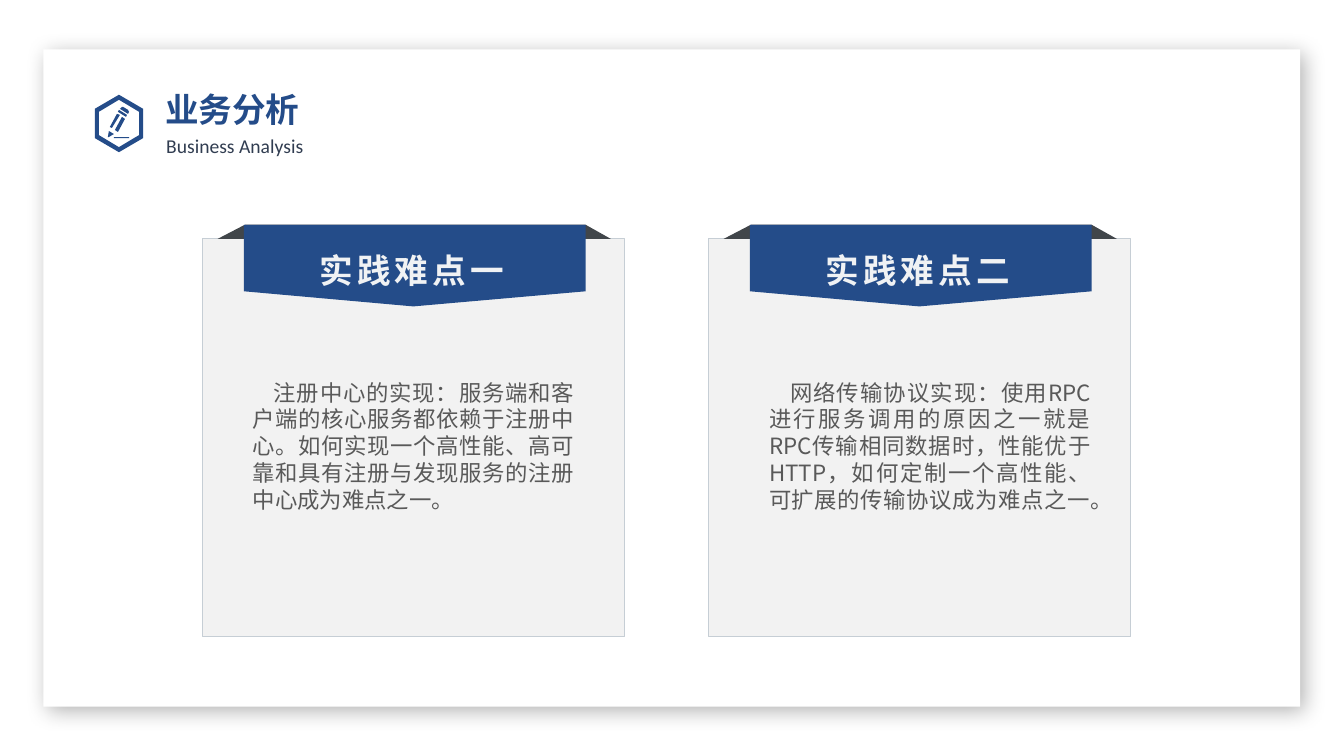
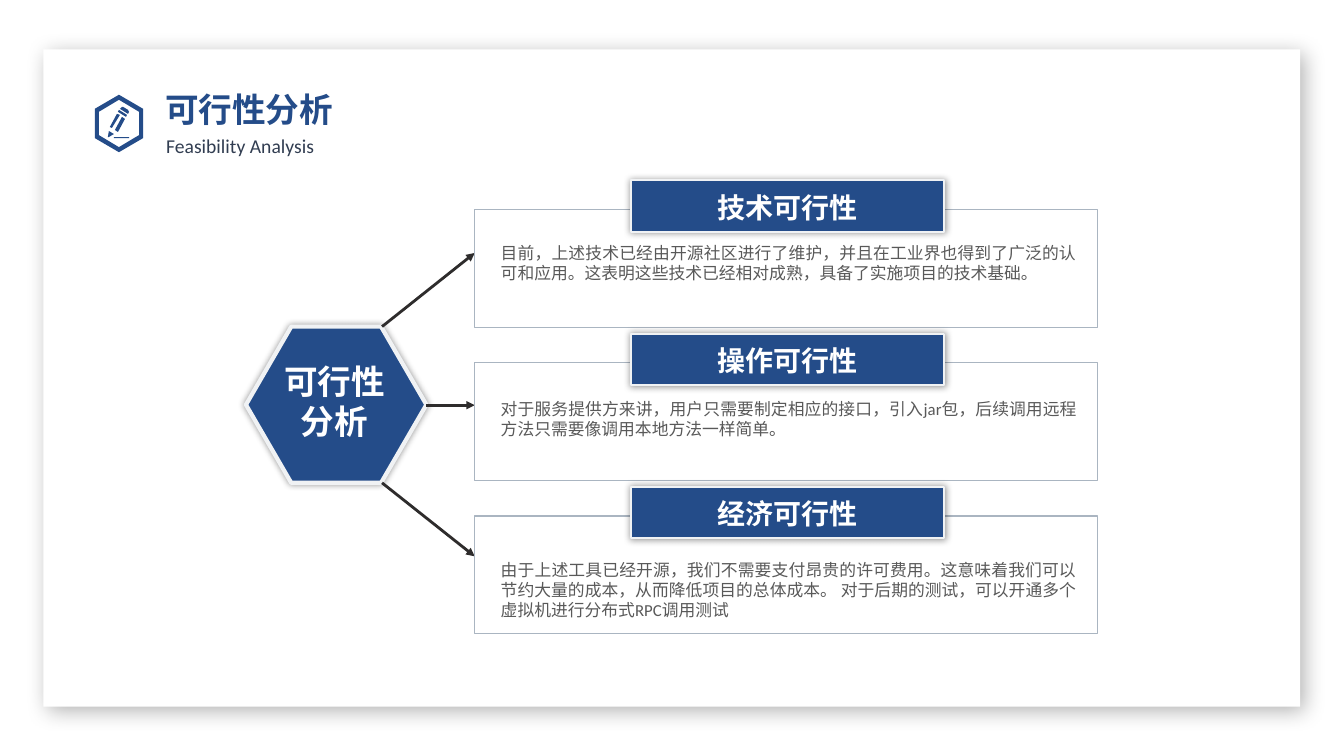
from pptx import Presentation
from pptx.dml.color import RGBColor
from pptx.enum import dml, shapes, text
from pptx.oxml import ns, xmlchemy
from pptx.util import Pt
from lxml import etree

COLORS = {
    "white": "FFFFFF", "navy": "244C89", "pale": "F0F2F4", "card": "F2F2F2",
    "card_line": "C6CED5", "box_line": "AAB5C1", "fold": "41464A",
    "ink": "2E2C2C", "body": "595959", "subtitle": "313D51", "black": "000000",
}
SANS = "Noto Sans CJK SC"
HUNDREDTH = Pt(0.72)
RECT = shapes.MSO_SHAPE.RECTANGLE
LEFT, CENTER, JUSTIFY = text.PP_ALIGN.LEFT, text.PP_ALIGN.CENTER, text.PP_ALIGN.JUSTIFY

STYLES = {
    "title": dict(size=Pt(24), bold=True, name="Cabin", color="navy"),
    "subtitle": dict(size=Pt(14), name="Calibri", color="subtitle"),
    "ribbon": dict(size=Pt(24), bold=True, name=SANS, color="pale"),
    "card": dict(size=Pt(16), name=SANS, color="body"),
    "hexagon": dict(size=Pt(24), bold=True, name=SANS, color="white"),
    "tag": dict(size=Pt(20), bold=True, name=SANS, color="white"),
    "box": dict(size=Pt(12), name="Calibri", color="body"),
}

ICON = [
    [(118, 94), (142, 108), (142, 137), (118, 151), (94, 137), (94, 108)],
    [(118, 99), (138, 111), (138, 134), (118, 146), (98, 134), (98, 111)],
    [(113, 136), (128, 136), (128, 137), (113, 137)],
    [(114, 129), (121, 116), (124, 118), (117, 131)],
    [(109, 126), (116, 113), (119, 114), (111, 127)],
    [(107, 136), (108, 130), (113, 133), (108, 136)],
    [(118, 109), (117, 111), (125, 116), (126, 114)],
    [(120, 107), (121, 106), (122, 106), (127, 109), (128, 111), (127, 113), (119, 108)],
]
FOLD = [(42, 223), (380, 223), (405, 237), (15, 237)]
RIBBON = [(41, 223), (380, 223), (380, 289), (209, 304), (41, 289)]

TITLES = [("业务分析", "Business Analysis"), ("可行性分析", "Feasibility Analysis")]
CARDS = [
    (201, 173.5, "实践难点一",
     "注册中心的实现：服务端和客户端的核心服务都依赖于注册中心。如何实现一个高性能、高可靠和具有注册与发现服务的注册中心成为难点之一。"),
    (703, 542.2, "实践难点二",
     "网络传输协议实现：使用RPC进行服务调用的原因之一就是RPC传输相同数据时，性能优于HTTP，如何定制一个高性能、可扩展的传输协议成为难点之一。"),
]
BOXES = [
    (169.2, "技术可行性",
     "目前，上述技术已经由开源社区进行了维护，并且在工业界也得到了广泛的认可和应用。这表明这些技术已经相对成熟，具备了实施项目的技术基础。"),
    (280.1, "操作可行性",
     "对于服务提供方来讲，用户只需要制定相应的接口，引入jar包，后续调用远程方法只需要像调用本地方法一样简单。"),
    (395.3, "经济可行性",
     "由于上述工具已经开源，我们不需要支付昂贵的许可费用。这意味着我们可以节约大量的成本，从而降低项目的总体成本。 对于后期的测试，可以开通多个虚拟机进行分布式RPC调用测试"),
]
ARROWS = [(272.9, 233.3, 180.7), (304.6, 289.4, 289.4), (272.9, 344.9, 397.4)]


def paint(sp, fill, line=None, width=0, shadow=None):
    sp.fill.solid()
    sp.fill.fore_color.rgb = RGBColor.from_string(COLORS[fill])
    if line:
        sp.line.color.rgb = RGBColor.from_string(COLORS[line])
        sp.line.width = Pt(width)
    else:
        sp.line.fill.background()
    sp.shadow.inherit = False
    if shadow:
        alpha, blur, dist, angle = shadow
        effects = sp._element.spPr.find(ns.qn("a:effectLst"))
        outer = etree.SubElement(
            effects, ns.qn("a:outerShdw"), blurRad=str(Pt(blur)), dist=str(Pt(dist)),
            dir=str(angle * 60000), algn="ctr", rotWithShape="0")
        clr = etree.SubElement(outer, ns.qn("a:srgbClr"), val=COLORS["black"])
        etree.SubElement(clr, ns.qn("a:alpha"), val=str(alpha * 1000))


def write(sp, words, style, align=LEFT, anchor=text.MSO_ANCHOR.TOP, top=4.8):
    tf = sp.text_frame
    frame = dict(word_wrap=True, vertical_anchor=anchor, margin_top=Pt(top),
                 margin_bottom=Pt(3.6), margin_left=Pt(7.2), margin_right=Pt(7.2))
    for key, value in frame.items():
        setattr(tf, key, value)
    p = tf.paragraphs[0]
    p.alignment = align
    r = p.add_run()
    r.text = words
    for key, value in STYLES[style].items():
        if key == "color":
            r.font.color.rgb = RGBColor.from_string(COLORS[value])
        else:
            setattr(r.font, key, value)
    etree.SubElement(r._r.get_or_add_rPr(), ns.qn("a:ea"), typeface=SANS)
    return p


prs = Presentation()
prs.slide_width, prs.slide_height = Pt(960), Pt(540)

for title, subtitle in TITLES:
    s = prs.slides.add_slide(prs.slide_layouts[6])
    panel = s.shapes.add_shape(RECT, Pt(31), Pt(35.3), Pt(897.8), Pt(469.4))
    paint(panel, "white", shadow=(30, 15, 5, 45))
    fb = s.shapes.build_freeform(*ICON[0][0], scale=HUNDREDTH)
    fb.add_line_segments(ICON[0][1:])
    for contour in ICON[1:]:
        fb.move_to(*contour[0])
        fb.add_line_segments(contour[1:])
    paint(fb.convert_to_shape(), "navy")
    write(s.shapes.add_textbox(Pt(110.9), Pt(59), Pt(285.8), Pt(36)), title, "title")
    sp = s.shapes.add_textbox(Pt(111.6), Pt(84.5), Pt(238), Pt(29.3))
    write(sp, subtitle, "subtitle").line_spacing = Pt(23)

business, feasibility = prs.slides

for x, body_x, heading, body in CARDS:
    left = x * 0.72
    sp = business.shapes.add_shape(RECT, Pt(left), Pt(170.6), Pt(301.7), Pt(284.4))
    paint(sp, "card", "card_line", 0.75)
    for outline, fill in ((FOLD, "fold"), (RIBBON, "navy")):
        points = [(x + dx, y) for dx, y in outline]
        fb = business.shapes.build_freeform(*points[0], scale=HUNDREDTH)
        fb.add_line_segments(points[1:])
        paint(fb.convert_to_shape(), fill)
    sp = business.shapes.add_textbox(Pt(left + 76.3), Pt(173.5), Pt(160), Pt(38.9))
    p = write(sp, heading, "ribbon")
    p.runs[0]._r.get_or_add_rPr().set("spc", "300")
    sp = business.shapes.add_textbox(Pt(body_x), Pt(265.7), Pt(244.1), Pt(121.7))
    p = write(sp, body, "card", JUSTIFY)
    p._p.get_or_add_pPr().set("indent", str(Pt(15)))

hexagon = feasibility.shapes.add_shape(
    shapes.MSO_SHAPE.HEXAGON, Pt(175.7), Pt(233.3), Pt(128.9), Pt(111.6))
hexagon.adjustments[0] = 0.29
paint(hexagon, "navy", "pale", 3, (40, 5, 0, 0))
sp = feasibility.shapes.add_textbox(Pt(192.2), Pt(252.7), Pt(93.6), Pt(74.2))
write(sp, "可行性分析", "hexagon", CENTER)

for x, y, end_y in ARROWS:
    arrow = feasibility.shapes.add_connector(
        shapes.MSO_CONNECTOR.STRAIGHT, Pt(x), Pt(y), Pt(339.1), Pt(end_y))
    arrow.line.color.rgb = RGBColor.from_string(COLORS["ink"])
    arrow.line.width = Pt(0)
    etree.SubElement(arrow.line._get_or_add_ln(), ns.qn("a:tailEnd"), type="triangle")
    etree.SubElement(arrow._element.spPr, ns.qn("a:effectLst"))

for i, (body_y, heading, body) in enumerate(BOXES):
    drop = i * 109.4
    sp = feasibility.shapes.add_shape(RECT, Pt(339.1), Pt(149.8 + drop), Pt(445), Pt(84.2))
    paint(sp, "white", "box_line")
    sp = feasibility.shapes.add_shape(RECT, Pt(450.7), Pt(128.9 + drop), Pt(223.9), Pt(36.7))
    paint(sp, "navy", "pale", 1.5, (40, 5, 0, 0))
    write(sp, heading, "tag", CENTER, text.MSO_ANCHOR.MIDDLE)
    sp = feasibility.shapes.add_textbox(Pt(350.6), Pt(body_y), Pt(425.5), Pt(58.3))
    write(sp, body, "box", JUSTIFY, top=4.4)

prs.save("out.pptx")
